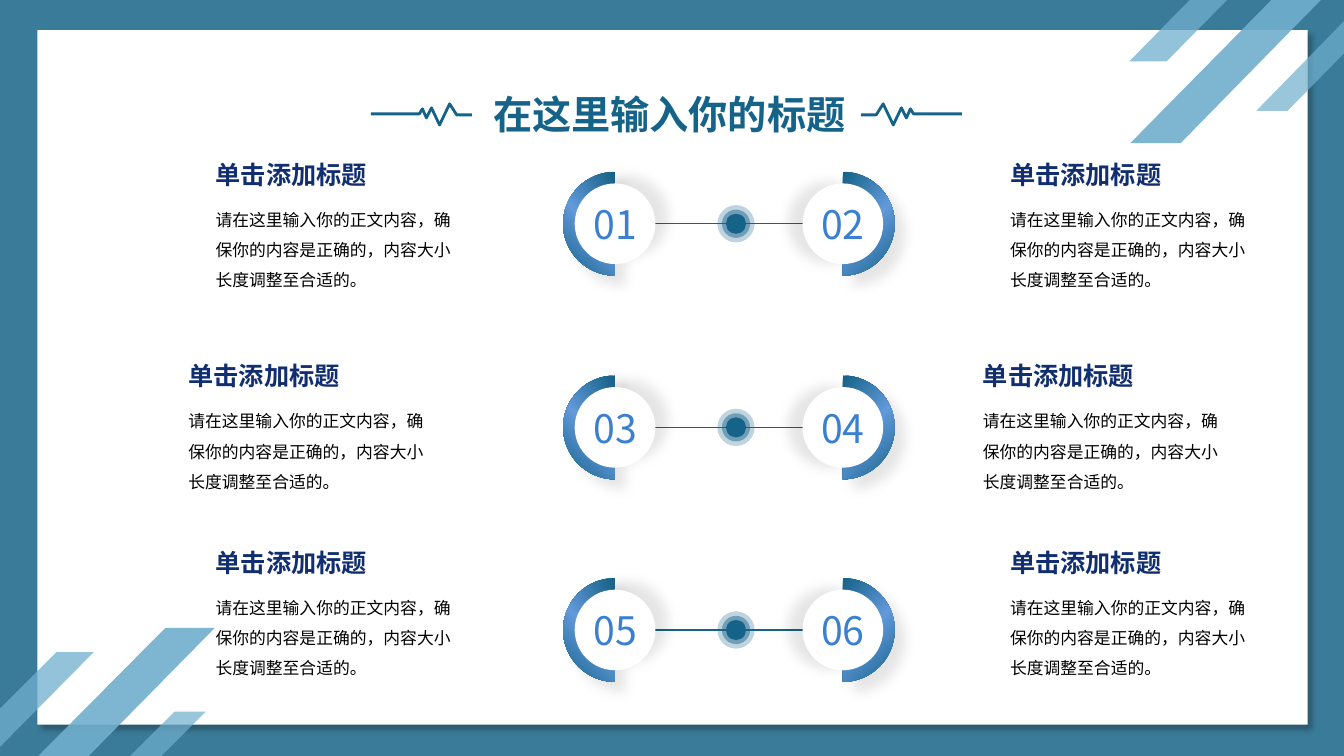
from lxml import etree
from pptx import Presentation
from pptx.dml.color import RGBColor
from pptx.enum.shapes import MSO_CONNECTOR, MSO_SHAPE as SHAPE
from pptx.enum.text import MSO_ANCHOR, MSO_AUTO_SIZE, PP_ALIGN
from pptx.oxml import parse_xml
from pptx.oxml.ns import nsdecls, qn
from pptx.util import Inches, Pt

# Content
TITLE = "在这里输入你的标题"
HEADING = "单击添加标题"
BODY = "请在这里输入你的正文内容，确保你的内容是正确的，内容大小长度调整至合适的。"
# Number labels, centre of the dials, top of the headings, left of the two texts
ROWS = [
    (("01", "02"), 2.22, 1.53, (2.04, 9.92)),
    (("03", "04"), 4.24, 3.53, (1.77, 9.65)),
    (("05", "06"), 6.25, 5.38, (2.04, 9.92)),
]
# Corner stripes: opacity in percent, outline
STRIPES = [
    (90, [(12.61, 0), (13.1, 0), (11.71, 1.42), (11.21, 1.42)]),
    (75, [(11.8, 0), (12.17, 0), (11.57, 0.61), (11.2, 0.61)]),
    (70, [(13.33, 0.21), (13.33, 0.53), (12.77, 1.1), (12.46, 1.1)]),
    (90, [(1.64, 6.23), (2.13, 6.23), (0.88, 7.5), (0.38, 7.5)]),
    (75, [(0.56, 6.47), (0.93, 6.47), (0, 7.41), (0, 7.03)]),
    (70, [(1.73, 7.06), (2.04, 7.06), (1.6, 7.5), (1.29, 7.5)]),
]
PULSE = [(4.68, 1.14), (4.53, 1.14), (4.46, 1.03), (4.36, 1.24), (4.28, 1.07),
         (4.23, 1.17), (4.19, 1.08), (4.16, 1.13), (3.68, 1.13)]
PULSE_MIRROR = 13.22
HALOS = [(0.37, 27), (0.28, 47), (0.2, 100)]  # diameter, opacity
HALO_X = 7.3
# Centre, side of the half disc, gradient angle, shadow angle of the circle
DIALS = [(6.1, -1, 135, 330), (8.36, 1, 45, 185)]
DISC, CIRCLE = 1.03, 0.8
ARC_HANDLE = 0.55  # handle length of a quarter circle, in radii

FONT = "Noto Sans CJK SC"
PAPER = RGBColor(0xF2, 0xF2, 0xF2)
FRAME = RGBColor(0x3A, 0x7B, 0x99)
WHITE = RGBColor(0xFF, 0xFF, 0xFF)
BLACK = RGBColor(0, 0, 0)
SHADE = RGBColor(0x0D, 0x0D, 0x0D)
STRIPE = RGBColor(0x70, 0xAF, 0xCE)
TEAL = RGBColor(0x15, 0x63, 0x89)
SKY = RGBColor(0x62, 0x99, 0xDA)
NUMBER = RGBColor(0x3A, 0x7F, 0xD0)
NAVY = RGBColor(0x11, 0x2F, 0x70)

presentation = Presentation()
presentation.slide_width, presentation.slide_height = Inches(13.33), Inches(7.5)
layout = presentation.slide_layouts[5]
slide = presentation.slides.add_slide(layout)
slide.background.fill.solid()
slide.background.fill.fore_color.rgb = PAPER
shapes = slide.shapes


def paint(shape, color, opacity=100):
    shape.shadow.inherit = False
    shape.line.fill.background()
    shape.fill.solid()
    shape.fill.fore_color.rgb = color
    if opacity < 100:
        color_element = shape._element.spPr.find(qn("a:solidFill"))[0]
        etree.SubElement(color_element, qn("a:alpha"), val=str(opacity * 1000))
    return shape


def add_preset(kind, left, top, width, height, color, opacity=100):
    shape = shapes.add_shape(kind, Inches(left), Inches(top), Inches(width), Inches(height))
    return paint(shape, color, opacity)


def add_circle(x, y, diameter, color, opacity=100):
    return add_preset(SHAPE.OVAL, x - diameter / 2, y - diameter / 2,
                      diameter, diameter, color, opacity)


def add_outline(points, close=True):
    points = [(Inches(x), Inches(y)) for x, y in points]
    builder = shapes.build_freeform(*points[0], scale=1.0)
    builder.add_line_segments(points[1:], close=close)
    return builder.convert_to_shape()


def add_half_disc(x, y, side, angle):
    """A triangle whose two outer edges are bent into quarter circles."""
    radius = DISC / 2
    disc = paint(add_outline([(x, y - radius), (x + side * radius, y), (x, y + radius)]), TEAL)
    properties = disc._element.spPr
    size, handle = Inches(radius), Inches(radius * ARC_HANDLE)
    flat, tip = (size, 0) if side < 0 else (0, size)
    arcs = [[(flat + side * handle, 0), (tip, size - handle), (tip, size)],
            [(tip, size + handle), (flat + side * handle, 2 * size), (flat, 2 * size)]]
    for edge, arc in zip(list(properties.iter(qn("a:lnTo"))), arcs):
        points = "".join(f'<a:pt x="{px}" y="{py}"/>' for px, py in arc)
        edge.getparent().replace(edge, parse_xml(
            f'<a:cubicBezTo {nsdecls("a")}>{points}</a:cubicBezTo>'))
    stops = "".join(f'<a:gs pos="{position * 1000}"><a:srgbClr val="{color}"/></a:gs>'
                    for position, color in [(0, TEAL), (50, SKY), (100, TEAL)])
    properties.replace(properties.find(qn("a:solidFill")), parse_xml(
        f'<a:gradFill {nsdecls("a")} rotWithShape="1"><a:gsLst>{stops}</a:gsLst>'
        f'<a:lin ang="{angle * 60000}" scaled="0"/></a:gradFill>'))
    return disc


def cast_shadow(shape, color, opacity, blur, distance, angle):
    effects = shape._element.spPr.find(qn("a:effectLst"))
    effects.append(parse_xml(
        f'<a:outerShdw {nsdecls("a")} blurRad="{Pt(blur)}" dist="{Pt(distance)}" '
        f'dir="{angle * 60000}" algn="ctr" rotWithShape="0"><a:srgbClr val="{color}">'
        f'<a:alpha val="{opacity * 1000}"/></a:srgbClr></a:outerShdw>'))


def write(shape, text, size, color, bold=False, align=PP_ALIGN.LEFT, wrap=True, spacing=1.0):
    frame = shape.text_frame
    frame.text = text
    frame.word_wrap = wrap
    frame.auto_size = MSO_AUTO_SIZE.SHAPE_TO_FIT_TEXT
    frame.vertical_anchor = MSO_ANCHOR.TOP
    paragraph = frame.paragraphs[0]
    paragraph.alignment = align
    paragraph.line_spacing = spacing
    font = paragraph.runs[0].font
    font.name, font.size, font.bold = FONT, Pt(size), bold
    font.color.rgb = color
    etree.SubElement(font._element, qn("a:ea"), typeface=FONT)


def add_text(parent, left, top, width, height, *args, **options):
    box = parent.add_textbox(Inches(left), Inches(top), Inches(width), Inches(height))
    write(box, *args, **options)


# Frame, white panel and corner stripes, kept on the layout
frame = add_preset(SHAPE.RECTANGLE, 0, 0, 13.33, 7.5, FRAME)
panel = add_preset(SHAPE.RECTANGLE, 0.37, 0.3, 12.6, 6.89, WHITE)
cast_shadow(panel, SHADE, 30, 4, 5, 45)
stripes = [paint(add_outline(outline), STRIPE, opacity) for opacity, outline in STRIPES]
for number, shape in enumerate([frame, panel, *stripes], start=20):
    shape._element.nvSpPr.cNvPr.set("id", str(number))
    layout.shapes._spTree.append(shape._element)

# Title between two mirrored pulse lines
for points in (PULSE, [(PULSE_MIRROR - x, y) for x, y in PULSE]):
    pulse = add_outline(points, close=False)
    pulse.shadow.inherit = False
    pulse.fill.background()
    pulse.line.color.rgb = TEAL
    pulse.line.width = Pt(2)
title = shapes.title
title.left, title.top, title.width, title.height = map(Inches, (4.79, 0.85, 3.75, 0.57))
write(title, TITLE, 28, TEAL, bold=True)

for labels, y, heading_top, text_lefts in ROWS:
    # Connecting line with its dot
    link = shapes.add_connector(MSO_CONNECTOR.STRAIGHT, Inches(6.48), Inches(y),
                                Inches(7.99), Inches(y))
    link.line.color.rgb = TEAL
    link.line.width = Pt(1)
    etree.SubElement(link._element.spPr, qn("a:effectLst"))
    for diameter, opacity in HALOS:
        add_circle(HALO_X, y, diameter, TEAL, opacity)

    # Numbered dials
    for label, (x, side, gradient, shadow) in zip(labels, DIALS):
        cast_shadow(add_half_disc(x, y, side, gradient), BLACK, 10, 9, 10, 45)
        cast_shadow(add_circle(x, y, CIRCLE, WHITE), BLACK, 10, 9, 10, shadow)
        add_text(shapes, x - 0.42, y - 0.28, 0.84, 0.57, label, 28, NUMBER,
                 align=PP_ALIGN.CENTER)

    # Heading and body on either side
    for left in text_lefts:
        group = shapes.add_group_shape().shapes
        add_text(group, left, heading_top + 0.4, 2.66, 0.97, BODY, 12, BLACK, spacing=1.5)
        add_text(group, left, heading_top, 1.72, 0.4, HEADING, 18, NAVY, bold=True, wrap=False)

presentation.save("out.pptx")
